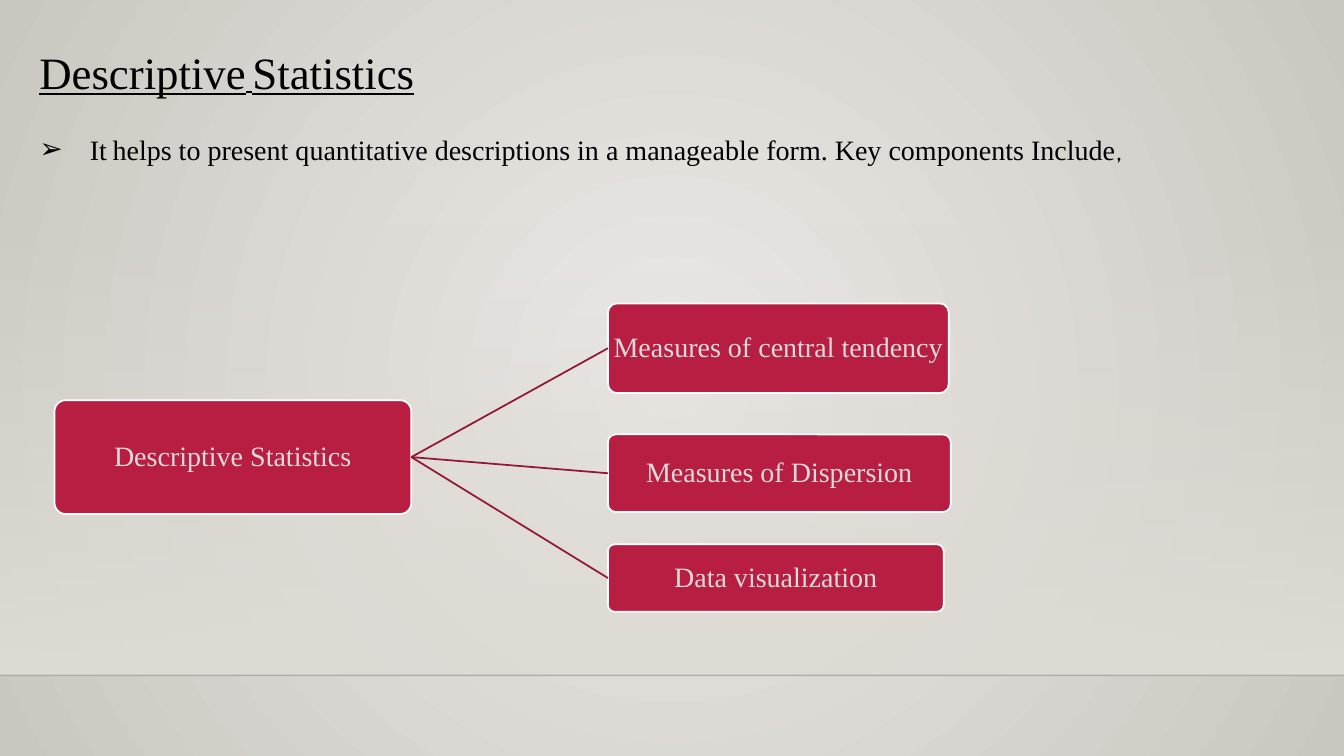
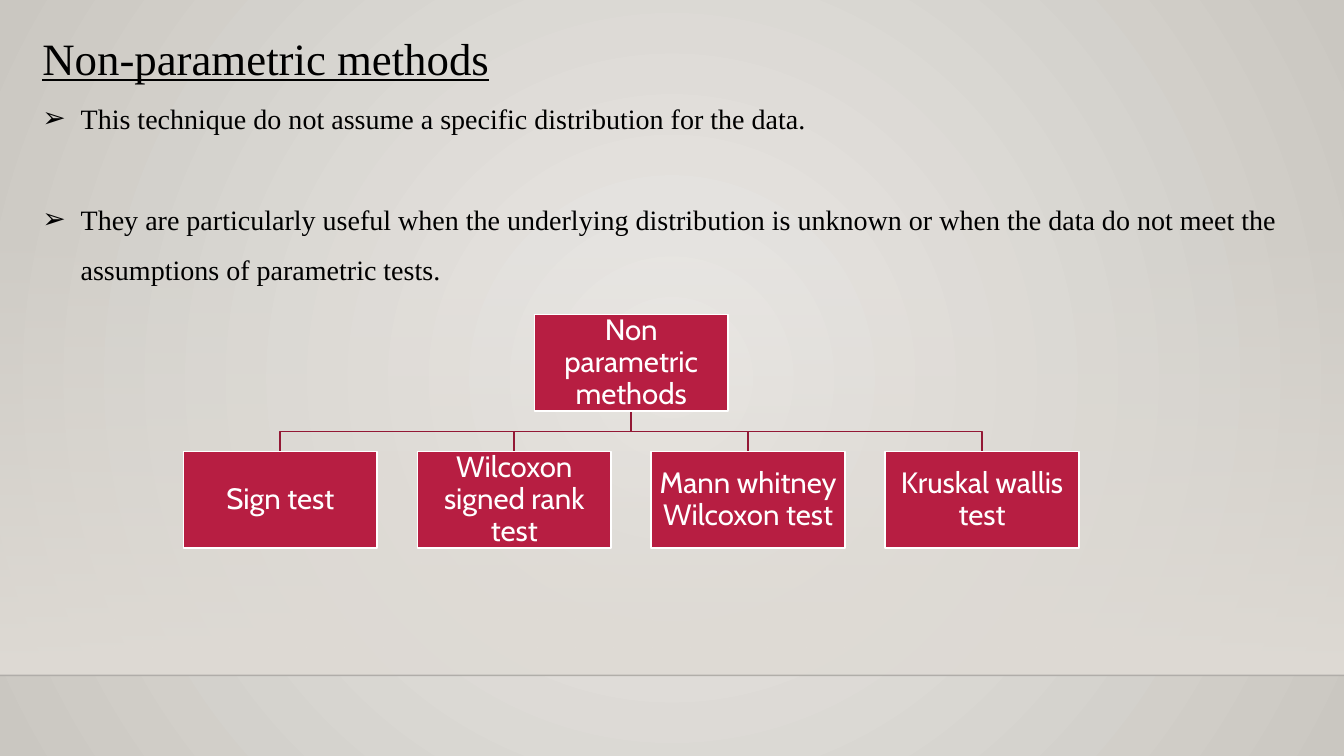
from lxml import etree
from pptx import Presentation
from pptx.dml.color import RGBColor
from pptx.enum import shapes, text
from pptx.oxml import parse_xml
from pptx.oxml.ns import qn
from pptx.util import Inches, Pt

SERIF, SANS = "Times New Roman", "Cabin"
BLACK, WHITE, PALE = "000000", "FFFFFF", "DADADA"
RED, DARK_RED, SAND = "B71E42", "931835", "DFDBD5"
WIDTH, HEIGHT, FLOOR = 13.33, 7.5, 6.7
NAMESPACE = "http://schemas.openxmlformats.org/drawingml/2006/main"

# Text is listed as paragraphs of runs: (text, size, font)
DESCRIPTIVE = {
    "title": [("Descriptive", 32, SERIF), (" ", 18, SERIF), ("Statistics", 32, SERIF)],
    "title_at": (0.29, 0.39, 12.76, 0.7),
    "bullets": [[
        ("It", 20, SERIF), (" ", 18, SANS),
        ("helps to present quantitative descriptions in a manageable form. "
         "Key components Include", 20, SERIF),
        (",", 18, SANS),
    ]],
    "body_at": (0.29, 1.26, 12.76, 0.6),
    "indent": 0.5, "line_spacing": 1, "gap": 0,
}
NON_PARAMETRIC = {
    "title": [("Non-parametric methods", 32, SERIF)],
    "title_at": (0.32, 0.25, 12.68, 0.6),
    "bullets": [
        [("This technique do not assume a specific distribution for the data.", 20, SERIF)],
        [("They are particularly useful when the underlying distribution is unknown or "
          "when the data do not meet the assumptions of parametric tests.", 20, SERIF)],
    ],
    "body_at": (0.32, 0.79, 12.68, 2.1),
    "indent": 0.38, "line_spacing": 1.5, "gap": 36,
}
STATISTICS_ROOT = ("Descriptive Statistics", (0.54, 3.97, 3.54, 1.13))
STATISTICS_BRANCHES = [
    ("Measures of central tendency", (6.03, 3.01, 3.38, 0.89)),
    ("Measures of Dispersion", (6.03, 4.31, 3.4, 0.77)),
    ("Data visualization", (6.03, 5.4, 3.33, 0.67)),
]
METHODS_ROOT = "Non parametric methods"
TESTS = ["Sign test", "Wilcoxon signed rank test",
         "Mann whitney Wilcoxon test", "Kruskal wallis test"]


def color(value):
    return RGBColor.from_string(value)


def inches(values):
    return [Inches(value) for value in values]


def gradient(stops, direction):
    """Gradient fill from (position, colour, opacity) stops, in percent."""
    stop_xml = ""
    for position, value, opacity in stops:
        alpha = f'<a:alpha val="{opacity * 1000}"/>' if opacity < 100 else ""
        stop_xml += (f'<a:gs pos="{position * 1000}">'
                     f'<a:srgbClr val="{value}">{alpha}</a:srgbClr></a:gs>')
    return parse_xml(f'<a:gradFill xmlns:a="{NAMESPACE}" rotWithShape="1">'
                     f'<a:gsLst>{stop_xml}</a:gsLst>{direction}</a:gradFill>')


def set_gradient(fill, parent, stops, direction):
    fill.solid()
    old = parent.find(".//" + qn("a:solidFill"))
    old.getparent().replace(old, gradient(stops, direction))


def style_line(line, value=DARK_RED, width=1.25):
    line.color.rgb = color(value)
    line.width = Pt(width)


def add_line(slide, start, end, *style):
    connector = slide.shapes.add_connector(
        shapes.MSO_CONNECTOR.STRAIGHT, *inches(start), *inches(end))
    style_line(connector.line, *style)
    etree.SubElement(connector.element.spPr, qn("a:effectLst"))
    return connector


def add_polyline(slide, points):
    start, *rest = [inches(point) for point in points]
    builder = slide.shapes.build_freeform(*start)
    builder.add_line_segments(rest, close=False)
    polyline = builder.convert_to_shape()
    polyline.shadow.inherit = False
    polyline.fill.background()
    style_line(polyline.line)


def decorate_master(presentation, slide):
    """Give the master its background, fading band and floor line."""
    master = presentation.slide_master
    set_gradient(master.background.fill, master.element.cSld.bg,
                 [(0, "ECEAE7", 100), (100, "CAC7C1", 100)],
                 '<a:path path="circle"><a:fillToRect l="50000" t="50000" '
                 'r="50000" b="50000"/></a:path>')
    band = slide.shapes.add_shape(
        shapes.MSO_SHAPE.RECTANGLE, *inches((0, 2.21, WIDTH, FLOOR - 2.21)))
    band.shadow.inherit = False
    band.line.fill.background()
    set_gradient(band.fill, band.element.spPr, [(0, SAND, 0), (100, SAND, 100)],
                 '<a:lin ang="5400000" scaled="0"/>')
    floor = add_line(slide, (0, FLOOR), (WIDTH, FLOOR), "000001", 1)
    line_color = floor.element.spPr.find(".//" + qn("a:srgbClr"))
    etree.SubElement(line_color, qn("a:alpha"), val="20000")
    for position, shape in enumerate((band, floor), start=2):
        master.element.cSld.spTree.insert(position, shape.element)


def write_runs(paragraph, runs, underline=False):
    for words, size, font in runs:
        run = paragraph.add_run()
        run.text = words
        run.font.size = Pt(size)
        run.font.name = font
        run.font.color.rgb = color(BLACK)
        run.font.underline = underline
    paragraph.alignment = text.PP_ALIGN.LEFT
    paragraph.space_before = Pt(0)


def place(placeholder, position):
    placeholder.left, placeholder.top, placeholder.width, placeholder.height = inches(position)
    frame = placeholder.text_frame
    frame.word_wrap = True
    frame.auto_size = text.MSO_AUTO_SIZE.NONE
    frame.vertical_anchor = text.MSO_ANCHOR.TOP
    return frame


def add_heading(slide, content):
    """Fill the title and the bulleted body."""
    title = place(slide.shapes.title, content["title_at"])
    write_runs(title.paragraphs[0], content["title"], underline=True)
    body = place(slide.placeholders[1], content["body_at"])
    for index, runs in enumerate(content["bullets"]):
        paragraph = body.add_paragraph() if index else body.paragraphs[0]
        properties = paragraph._p.get_or_add_pPr()
        indent = Inches(content["indent"])
        properties.set("marL", str(indent))
        properties.set("indent", str(-indent))
        etree.SubElement(properties, qn("a:buChar"), char="➢")
        write_runs(paragraph, runs)
        paragraph.line_spacing = content["line_spacing"]
        if index < len(content["bullets"]) - 1:
            paragraph.space_after = Pt(content["gap"])


def add_box(slide, label, position, preset, font, size, text_color):
    box = slide.shapes.add_shape(preset, *inches(position))
    box.shadow.inherit = False
    box.fill.solid()
    box.fill.fore_color.rgb = color(RED)
    style_line(box.line, WHITE)
    if preset == shapes.MSO_SHAPE.ROUNDED_RECTANGLE:
        box.adjustments[0] = 0.1
    frame = box.text_frame
    frame.word_wrap = True
    frame.vertical_anchor = text.MSO_ANCHOR.MIDDLE
    frame.margin_left = frame.margin_right = Inches(0.01)
    frame.margin_top = frame.margin_bottom = Inches(0.01)
    frame.text = label
    paragraph = frame.paragraphs[0]
    paragraph.alignment = text.PP_ALIGN.CENTER
    paragraph.line_spacing = 0.9
    run_font = paragraph.runs[0].font
    run_font.name, run_font.size = font, Pt(size)
    run_font.color.rgb = color(text_color)
    return box


def add_statistics_tree(slide):
    style = (shapes.MSO_SHAPE.ROUNDED_RECTANGLE, SERIF, 20, PALE)
    root = add_box(slide, *STATISTICS_ROOT, *style)
    right_side, left_side = 3, 1
    for label, position in STATISTICS_BRANCHES:
        branch = add_box(slide, label, position, *style)
        line = add_line(slide, (0, 0), (1, 1))
        line.begin_connect(root, right_side)
        line.end_connect(branch, left_side)


def add_methods_tree(slide):
    style = (shapes.MSO_SHAPE.RECTANGLE, SANS, 21, WHITE)
    left, width, height, pitch = 1.82, 1.92, 0.96, 2.32
    root_top, tests_top = 3.12, 4.48
    root_bottom = root_top + height
    bus = (root_bottom + tests_top) / 2
    centers = [left + width / 2 + pitch * index for index in range(len(TESTS))]
    middle = (centers[0] + centers[-1]) / 2

    for center in reversed(centers):
        add_polyline(slide, [(middle, root_bottom), (middle, bus),
                             (center, bus), (center, tests_top)])
    add_box(slide, METHODS_ROOT, (middle - width / 2, root_top, width, height), *style)
    for label, center in zip(TESTS, centers):
        add_box(slide, label, (center - width / 2, tests_top, width, height), *style)


def main():
    presentation = Presentation()
    presentation.slide_width, presentation.slide_height = inches((WIDTH, HEIGHT))
    layout = presentation.slide_layouts[1]
    pages = [(DESCRIPTIVE, add_statistics_tree), (NON_PARAMETRIC, add_methods_tree)]
    for index, (content, add_tree) in enumerate(pages):
        slide = presentation.slides.add_slide(layout)
        if index == 0:
            decorate_master(presentation, slide)
        add_heading(slide, content)
        add_tree(slide)
    presentation.save("out.pptx")


if __name__ == "__main__":
    main()
